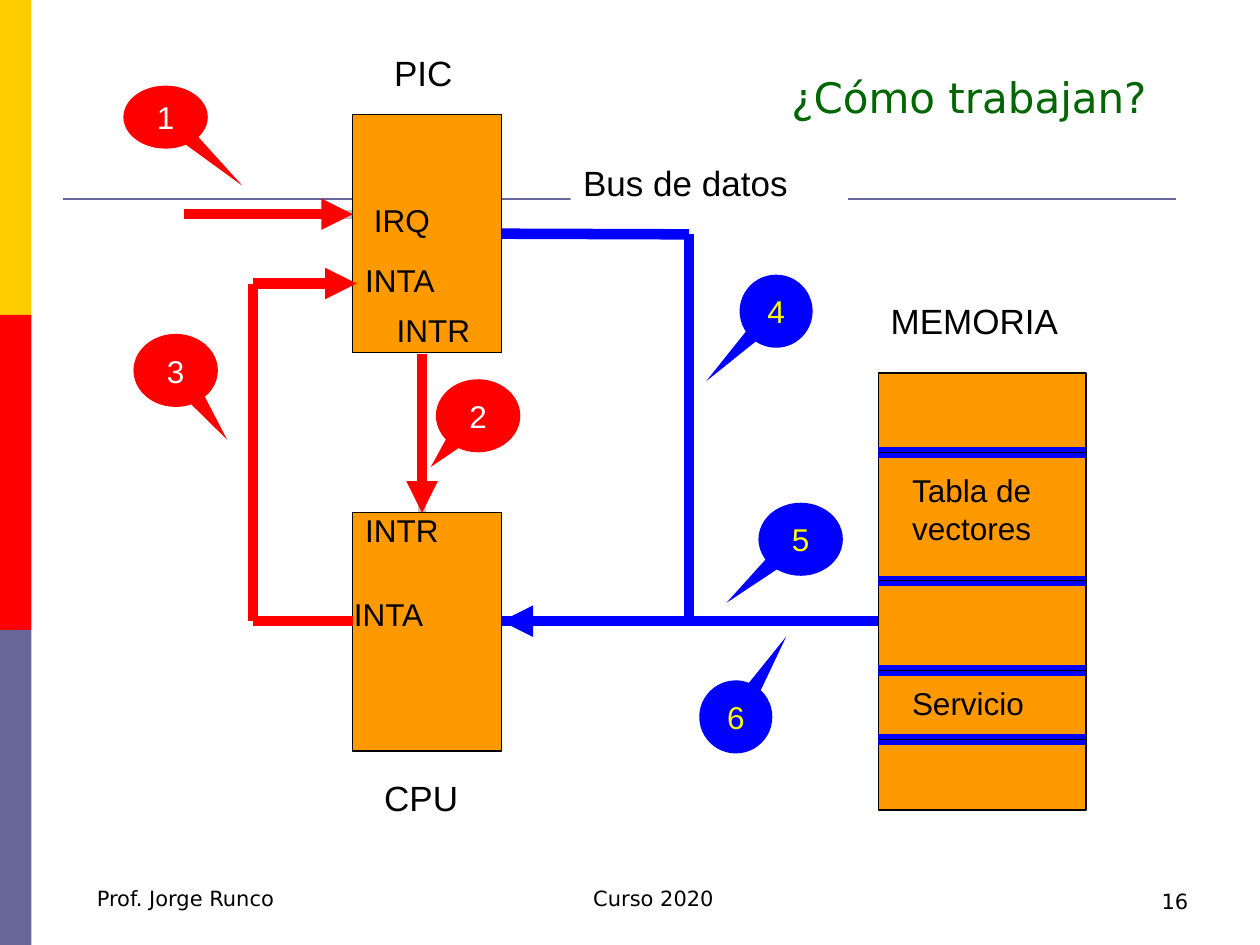
from dataclasses import dataclass
from typing import NamedTuple

from lxml.etree import SubElement
from pptx import Presentation
from pptx.dml.color import RGBColor
from pptx.enum.shapes import MSO_CONNECTOR, MSO_SHAPE
from pptx.enum.text import MSO_ANCHOR, MSO_AUTO_SIZE, PP_ALIGN
from pptx.oxml.ns import qn
from pptx.util import Inches, Pt


@dataclass(frozen=True)
class Theme:
    yellow_band: str = "FFCC00"
    red: str = "FF0000"
    slate: str = "666699"
    blue: str = "0000FF"
    orange: str = "FF9900"
    shade: str = "C0C0C0"
    black: str = "000000"
    white: str = "FFFFFF"
    yellow: str = "FFFF00"
    green: str = "006600"
    sans: str = "Arial"
    heading: str = "DejaVu Sans"
    title_size: int = 24
    caption_size: int = 20
    pin_size: int = 18
    footer_size: int = 12
    outline: float = 0.75
    rule: float = 1.5
    shade_width: float = 5
    wire: float = 6


class Box(NamedTuple):
    left: float
    top: float
    width: float
    height: float


class Wire(NamedTuple):
    start: tuple
    end: tuple
    color: str
    width: float = Theme.wire
    arrow: bool = False


class Label(NamedTuple):
    text: str
    box: Box
    size: int = Theme.pin_size
    font: str = Theme.sans
    align: PP_ALIGN = PP_ALIGN.LEFT
    fill: str = ""


class Step(NamedTuple):
    number: int
    box: Box
    tip: tuple
    fill: str
    ink: str


THEME = Theme()
PIC = Box(2.8, 0.91, 1.18, 1.89)
CPU = Box(2.8, 4.07, 1.18, 1.89)
MEMORY = Box(6.97, 2.96, 1.65, 3.47)
CHIP_LEFT, CHIP_RIGHT = 2.8, 3.98
INTA_X, INTR_X, BUS_X = 2.01, 3.35, 5.47
IRQ_Y, INTA_Y, PIC_BUS_Y, CPU_BUS_Y = 1.7, 2.25, 1.86, 4.93

BANDS = (THEME.yellow_band, THEME.red, THEME.slate)
SHADES = (
    Wire((INTR_X, 2.81), (INTR_X, 4.06), THEME.shade, THEME.shade_width),
    Wire((1.61, IRQ_Y), (CHIP_LEFT, IRQ_Y), THEME.shade, THEME.shade_width),
)
SIGNALS = (
    Wire((1.46, IRQ_Y), (CHIP_LEFT, IRQ_Y), THEME.red, arrow=True),
    Wire((INTR_X, 2.81), (INTR_X, 4.07), THEME.red, arrow=True),
    Wire((INTA_X, INTA_Y), (2.83, INTA_Y), THEME.red, arrow=True),
    Wire((INTA_X, INTA_Y), (INTA_X, CPU_BUS_Y), THEME.red),
    Wire((INTA_X, CPU_BUS_Y), (CHIP_LEFT, CPU_BUS_Y), THEME.red),
    Wire((BUS_X, PIC_BUS_Y), (BUS_X, CPU_BUS_Y), THEME.blue),
    Wire((BUS_X, CPU_BUS_Y), (CHIP_RIGHT, CPU_BUS_Y), THEME.blue, arrow=True),
    Wire((CHIP_RIGHT, CPU_BUS_Y), (MEMORY.left, CPU_BUS_Y), THEME.blue),
)
MEMORY_DIVIDERS = (3.59, 4.61, 5.32, 5.87)
STEPS = (
    Step(1, Box(0.98, 0.68, 0.67, 0.5), (0.91, 1.09), THEME.red, THEME.white),
    Step(2, Box(3.46, 3.01, 0.67, 0.58), (-0.56, 0.7), THEME.red, THEME.white),
    Step(3, Box(1.06, 2.65, 0.67, 0.58), (0.61, 0.95), THEME.red, THEME.white),
    Step(4, Box(5.87, 2.18, 0.58, 0.58), (-0.96, 0.96), THEME.blue, THEME.yellow),
    Step(5, Box(6.02, 3.99, 0.67, 0.58), (-0.88, 0.87), THEME.blue, THEME.yellow),
    Step(6, Box(5.55, 5.4, 0.58, 0.58), (0.69, -1.1), THEME.blue, THEME.yellow),
)
LABELS = (
    Label("PIC", Box(3.03, 0.36, 0.94, 0.43), THEME.caption_size),
    Label("MEMORIA", Box(6.97, 2.33, 1.65, 0.43), THEME.caption_size),
    Label("CPU", Box(2.95, 6.11, 0.92, 0.43), THEME.caption_size),
    Label("Bus de datos", Box(4.53, 1.23, 2.2, 0.43), THEME.caption_size, fill=THEME.white),
    Label("IRQ", Box(2.87, 1.55, 0.83, 0.4)),
    Label("INTA", Box(2.8, 2.02, 1.08, 0.4)),
    Label("INTR", Box(3.05, 2.42, 0.92, 0.4)),
    Label("INTR", Box(2.8, 4.01, 0.92, 0.4)),
    Label("INTA", Box(2.71, 4.67, 1.08, 0.4)),
    Label("Tabla de vectores", Box(7.14, 3.69, 1.32, 0.7)),
    Label("Servicio", Box(7.14, 5.38, 1.4, 0.4)),
    Label("Prof. Jorge Runco", Box(0.67, 6.98, 1.97, 0.3), THEME.footer_size, THEME.heading),
    Label("Curso 2020", Box(4.61, 6.98, 1.42, 0.3), THEME.footer_size, THEME.heading),
    Label("16", Box(7.2, 7, 2.33, 0.5), THEME.footer_size, THEME.heading, PP_ALIGN.RIGHT),
)


def rgb(color: str) -> RGBColor:
    return RGBColor.from_string(color)


def write(frame, text: str, size: int, font: str, color: str, align: PP_ALIGN) -> None:
    paragraph = frame.paragraphs[0]
    paragraph.alignment = align
    run = paragraph.add_run()
    run.text = text
    run.font.size = Pt(size)
    run.font.name = font
    run.font.color.rgb = rgb(color)


def draw_shape(slide, kind: MSO_SHAPE, box: Box, fill: str, outline: str = ""):
    shape = slide.shapes.add_shape(kind, *map(Inches, box))
    shape.shadow.inherit = False
    shape.fill.solid()
    shape.fill.fore_color.rgb = rgb(fill)
    if outline:
        shape.line.color.rgb = rgb(outline)
        shape.line.width = Pt(THEME.outline)
    else:
        shape.line.fill.background()
    return shape


def draw_wire(slide, wire: Wire):
    connector = slide.shapes.add_connector(
        MSO_CONNECTOR.STRAIGHT, *map(Inches, wire.start + wire.end))
    connector.line.color.rgb = rgb(wire.color)
    connector.line.width = Pt(wire.width)
    if wire.arrow:
        SubElement(connector.line._ln, qn("a:tailEnd"), type="triangle")
    SubElement(connector._element.spPr, qn("a:effectLst"))
    return connector


def draw_step(slide, step: Step) -> None:
    callout = draw_shape(slide, MSO_SHAPE.OVAL_CALLOUT, step.box, step.fill)
    callout.adjustments[0], callout.adjustments[1] = step.tip
    callout.text_frame.vertical_anchor = MSO_ANCHOR.MIDDLE
    write(callout.text_frame, str(step.number), THEME.pin_size, THEME.sans,
          step.ink, PP_ALIGN.CENTER)


def draw_label(slide, label: Label) -> None:
    holder = slide.shapes.add_textbox(*map(Inches, label.box))
    holder.text_frame.word_wrap = True
    if label.fill:
        holder.fill.solid()
        holder.fill.fore_color.rgb = rgb(label.fill)
    write(holder.text_frame, label.text, label.size, label.font, THEME.black, label.align)


def draw_title(slide, text: str, box: Box) -> None:
    title = slide.shapes.title
    title.left, title.top, title.width, title.height = map(Inches, box)
    title.text_frame.auto_size = MSO_AUTO_SIZE.NONE
    title.text_frame.vertical_anchor = MSO_ANCHOR.TOP
    write(title.text_frame, text, THEME.title_size, THEME.heading, THEME.green, PP_ALIGN.LEFT)


def main() -> None:
    """Build the interrupt-handling slide and save it."""
    deck = Presentation()
    deck.slide_width, deck.slide_height = Inches(10), Inches(7.5)
    slide = deck.slides.add_slide(deck.slide_layouts[5])
    draw_title(slide, "¿Cómo trabajan?", Box(6.18, 0.52, 3.23, 0.5))
    for row, color in enumerate(BANDS):
        draw_shape(slide, MSO_SHAPE.RECTANGLE, Box(0, 2.5 * row, 0.25, 2.5), color)
    draw_wire(slide, Wire((0.5, 1.58), (9.33, 1.58), THEME.slate, THEME.rule))
    for shade in SHADES:
        draw_wire(slide, shade)
    pic, _, _ = [draw_shape(slide, MSO_SHAPE.RECTANGLE, block, THEME.orange, THEME.black)
                 for block in (PIC, CPU, MEMORY)]
    for signal in SIGNALS:
        draw_wire(slide, signal)
    pic_bus = draw_wire(slide, Wire((CHIP_RIGHT, PIC_BUS_Y), (BUS_X, PIC_BUS_Y), THEME.blue))
    pic_bus.begin_connect(pic, 3)
    for y in MEMORY_DIVIDERS:
        for color, width in ((THEME.blue, THEME.wire), (THEME.black, THEME.outline)):
            draw_wire(slide, Wire((MEMORY.left, y), (MEMORY.left + MEMORY.width, y), color, width))
    for step in STEPS:
        draw_step(slide, step)
    for label in LABELS:
        draw_label(slide, label)
    deck.save("out.pptx")


if __name__ == "__main__":
    main()
